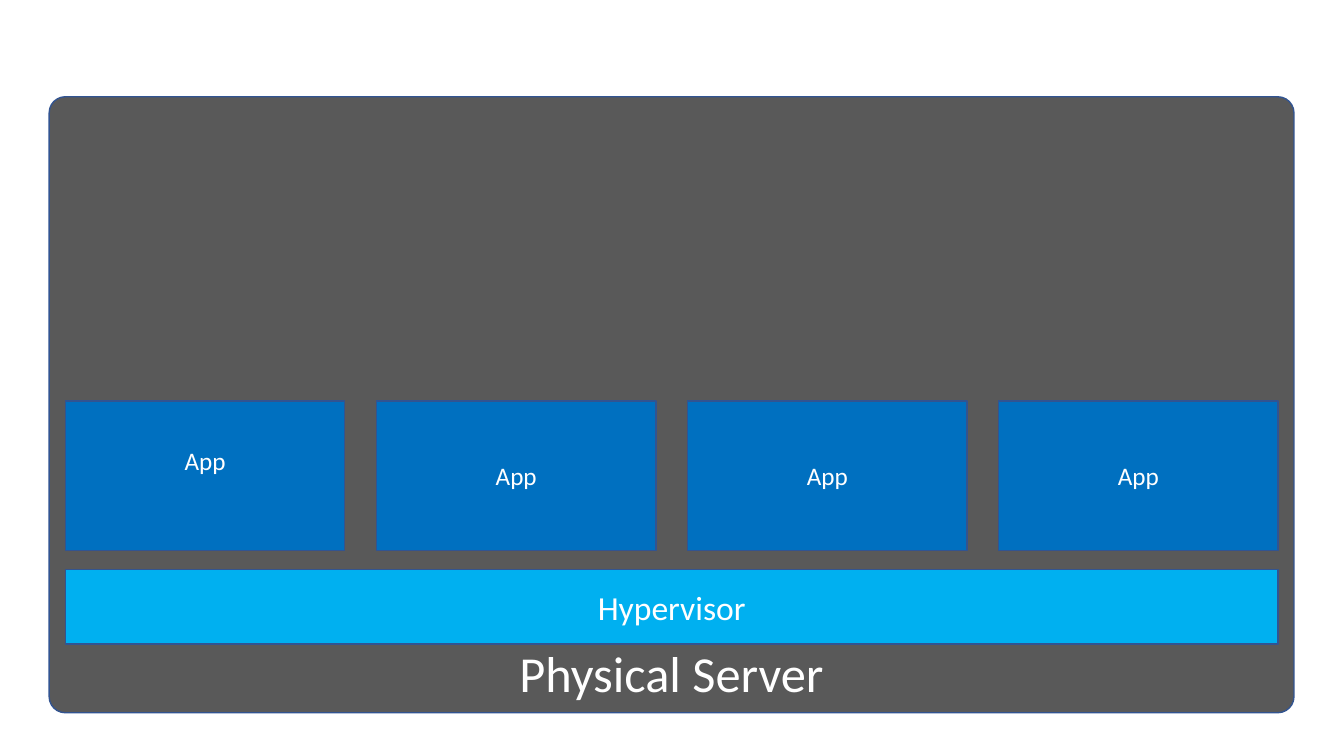
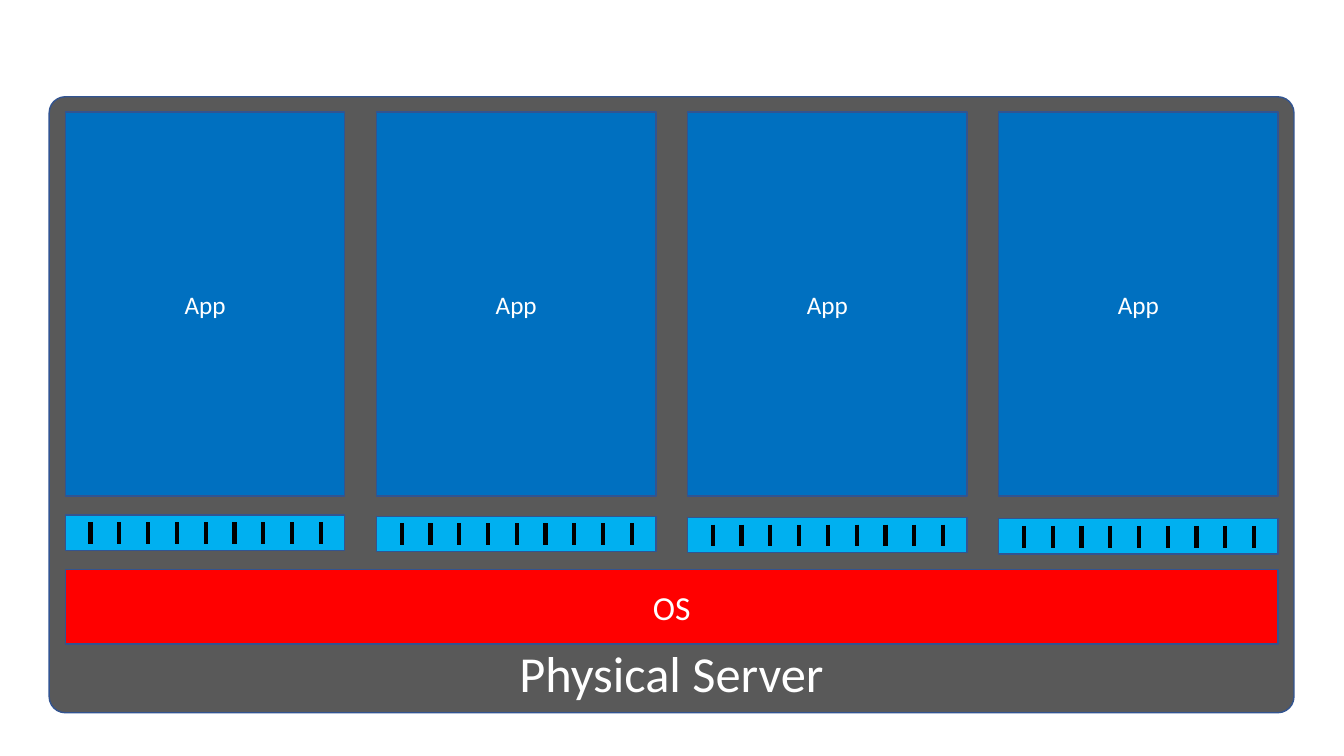
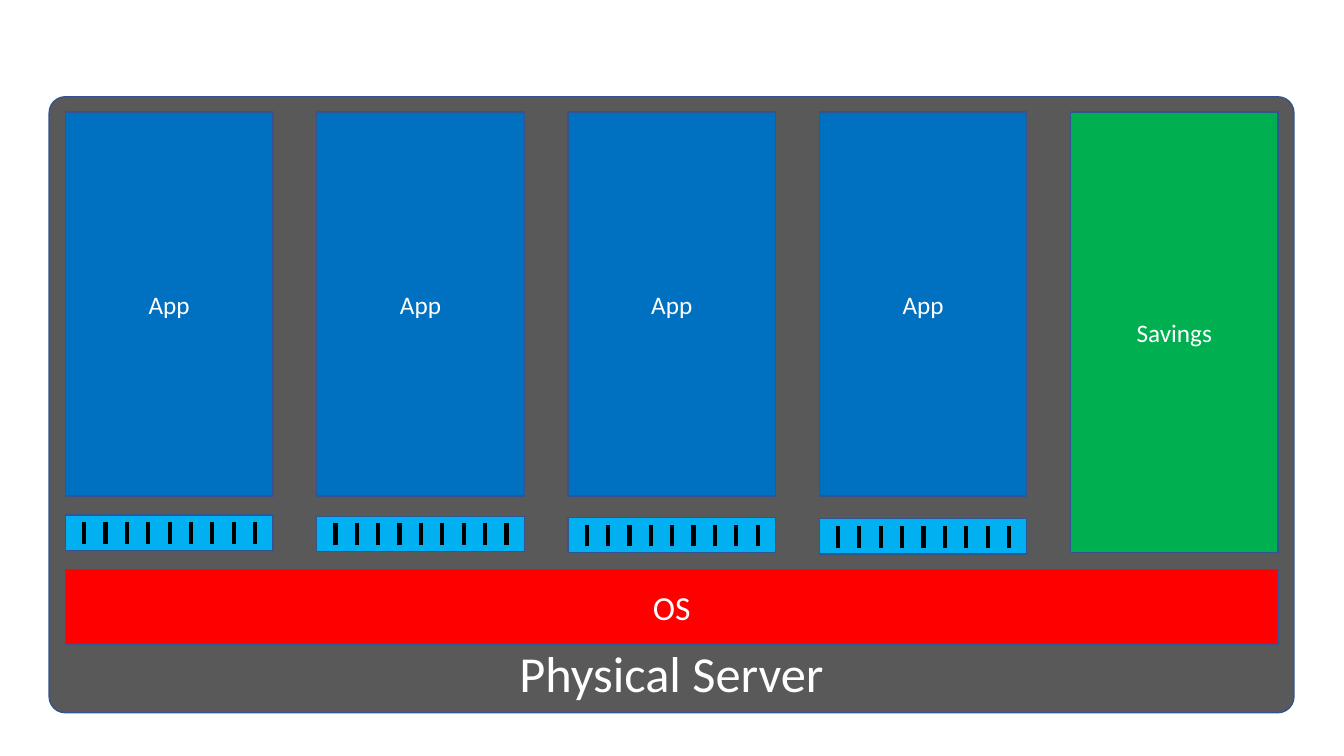
"""Build three slides comparing how applications share one physical server."""
from lxml.etree import SubElement
from pptx import Presentation
from pptx.dml.color import RGBColor
from pptx.enum.shapes import MSO_CONNECTOR, MSO_SHAPE
from pptx.enum.text import MSO_ANCHOR, PP_ALIGN
from pptx.oxml.ns import qn
from pptx.util import Cm, Pt

COLORS = {
    "server": "595959",
    "outline": "325491",
    "app": "0070C0",
    "layer": "00B0F0",
    "os": "FF0000",
    "savings": "00B050",
    "tick": "000000",
    "text": "FFFFFF",
}
FONT = "Calibri"
INNER_LEFT, INNER_WIDTH = 1.65, 30.56
APP_COUNT = 4
TALL_TOP, TALL_HEIGHT = 2.82, 9.68
STRIP_TOP, STRIP_STEP, STRIP_HEIGHT = 12.98, 0.03, 0.89
TICK_COUNT, TICK_START, TICK_STEP = 9, 0.09, 0.103
TICK_INSET, TICK_LENGTH = 0.18, 0.55


def column_lefts(count, width):
    pitch = (INNER_WIDTH - width) / (count - 1)
    return [INNER_LEFT + index * pitch for index in range(count)]


class ServerDeck:
    def __init__(self):
        self.deck = Presentation()
        self.deck.slide_width = Cm(33.87)
        self.deck.slide_height = Cm(19.05)
        self.page = None

    def color(self, name):
        return RGBColor.from_string(COLORS[name])

    def box(self, left, top, width, height, fill, text="", size=18,
            shape=MSO_SHAPE.RECTANGLE, anchor=MSO_ANCHOR.MIDDLE, parent=None):
        shapes = (parent or self.page).shapes
        box = shapes.add_shape(shape, Cm(left), Cm(top), Cm(width), Cm(height))
        box.shadow.inherit = False
        box.fill.solid()
        box.fill.fore_color.rgb = self.color(fill)
        box.line.color.rgb = self.color("outline")
        box.line.width = Pt(1)
        if text:
            frame = box.text_frame
            frame.text = text
            frame.vertical_anchor = anchor
            para = frame.paragraphs[0]
            para.alignment = PP_ALIGN.CENTER
            font = para.runs[0].font
            font.name, font.size = FONT, Pt(size)
            font.color.rgb = self.color("text")
        return box

    def tick(self, group, x, top):
        line = group.shapes.add_connector(
            MSO_CONNECTOR.STRAIGHT, Cm(x), Cm(top), Cm(x), Cm(top + TICK_LENGTH))
        line.line.color.rgb = self.color("tick")
        line.line.width = Pt(3)
        SubElement(line._element.spPr, qn("a:effectLst"))

    def server(self, layer, fill):
        self.page = self.deck.slides.add_slide(self.deck.slide_layouts[6])
        body = self.box(1.24, 2.44, 31.37, 15.52, "server", "Physical Server", 36,
                        MSO_SHAPE.ROUNDED_RECTANGLE, MSO_ANCHOR.BOTTOM)
        body.adjustments[0] = 0.026
        self.box(INNER_LEFT, 14.35, INNER_WIDTH, 1.88, fill, layer, 24)

    def apps(self, lefts, top, width, height):
        return [self.box(left, top, width, height, "app", "App") for left in lefts]

    def strip(self, left, top, width):
        group = self.page.shapes.add_group_shape()
        self.box(left, top, width, STRIP_HEIGHT, "layer", parent=group)
        for index in range(TICK_COUNT):
            x = left + width * (TICK_START + index * TICK_STEP)
            self.tick(group, x, top + TICK_INSET)

    def containers(self, lefts, width):
        self.apps(lefts, TALL_TOP, width, TALL_HEIGHT)
        for index, left in enumerate(lefts):
            self.strip(left, STRIP_TOP + index * STRIP_STEP, width)


def main():
    show = ServerDeck()
    wide, narrow = 7.04, 5.23
    wide_lefts = column_lefts(APP_COUNT, wide)

    show.server("Hypervisor", "layer")
    apps = show.apps(wide_lefts, 10.11, wide, 3.76)
    apps[0].text_frame.margin_bottom = Cm(0.89)

    show.server("OS", "os")
    show.containers(wide_lefts, wide)

    show.server("OS", "os")
    *app_lefts, savings_left = column_lefts(APP_COUNT + 1, narrow)
    show.containers(app_lefts, narrow)
    show.box(savings_left, TALL_TOP, narrow, 11.1, "savings", "Savings")

    show.deck.save("out.pptx")


if __name__ == "__main__":
    main()
